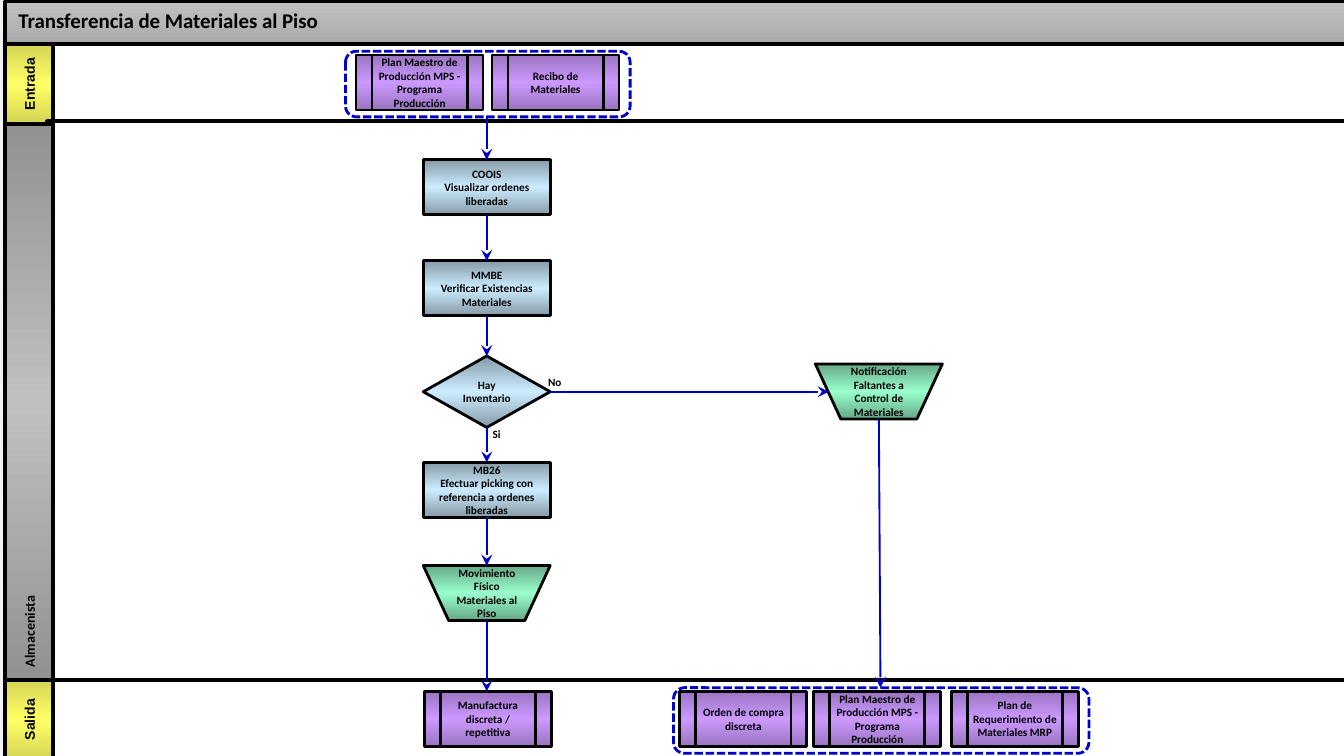
"""Build the swimlane flowchart for transferring materials to the shop floor."""
from copy import deepcopy
from dataclasses import dataclass

from lxml import etree
from pptx import Presentation
from pptx import util as u
from pptx.dml import color
from pptx.enum import dml, shapes, text
from pptx.oxml import ns


@dataclass(frozen=True)
class Theme:
    background: str = "F2F2F2"
    black: str = "000000"
    white: tuple = ("FFFFFF",)
    flow: str = "0000CC"
    header: tuple = ("C0C0C0", "AAAAAA")
    yellow: tuple = ("D5D555", "FFFF66", "D5D555")
    gray: tuple = ("929292", "C0C0C0", "929292")
    blue: tuple = ("869BA8", "CCECFF", "869BA8")
    purple: tuple = ("9A74C1", "CC99FF", "9A74C1")
    green: tuple = ("65A886", "99FFCC", "65A886")
    title_size: float = 11.2
    lane_size: float = 7.5
    step_size: float = 6
    lane_line: float = 2
    step_line: float = 1.5
    arrow_line: float = 1


theme = Theme()
rgb = color.RGBColor.from_string
kinds = shapes.MSO_SHAPE
center, left_align = text.PP_ALIGN.CENTER, text.PP_ALIGN.LEFT

presentation = Presentation()
presentation.slide_width, presentation.slide_height = u.Cm(25.4), u.Cm(14.29)
slide = presentation.slides.add_slide(presentation.slide_layouts[6])
slide.background.fill.solid()
slide.background.fill.fore_color.rgb = rgb(theme.background)


def draw(kind, box, colors, line=theme.black, width=theme.step_line):
    shape = slide.shapes.add_shape(kind, *map(u.Cm, box))
    shape.shadow.inherit = False
    shape.line.color.rgb = rgb(line)
    shape.line.width = u.Pt(width)
    if not colors:
        shape.fill.background()
    elif len(colors) == 1:
        shape.fill.solid()
        shape.fill.fore_color.rgb = rgb(colors[0])
    else:
        shape.fill.gradient()
        shape.fill.gradient_angle = 270
        stop_list = shape._element.spPr.find(".//" + ns.qn("a:gsLst"))
        while len(stop_list) < len(colors):
            stop_list.append(deepcopy(stop_list[0]))
        for index, stop in enumerate(shape.fill.gradient_stops):
            stop.position = index / (len(colors) - 1)
            stop.color.rgb = rgb(colors[index])
    return shape


def write(shape, words, size=theme.step_size, font="Calibri", align=center,
          side_inset=0.03, end_inset=0.03, wrap=True, anchor=text.MSO_ANCHOR.MIDDLE):
    frame = shape.text_frame
    frame.text = words
    frame.word_wrap = wrap
    frame.vertical_anchor = anchor
    frame.margin_left = frame.margin_right = u.Cm(side_inset)
    frame.margin_top = frame.margin_bottom = u.Cm(end_inset)
    for paragraph in frame.paragraphs:
        paragraph.alignment = align
        for run in paragraph.runs:
            run.font.size, run.font.name, run.font.bold = u.Pt(size), font, True
            run.font.color.rgb = rgb(theme.black)


lane_left, lane_width = 0.1, 0.91
lanes = [
    ("Salida", (0.13, 12.85, 25.4, 1.5), 12.85, 1.5, theme.yellow, "Arial", center),
    ("Entrada", (0.43, 0.81, 25.07, 1.5), 0.84, 1.5, theme.yellow, "Arial", center),
    ("Almacenista", (0.89, 2.29, 24.61, 10.57), 2.34, 10.52, theme.gray, "Calibri", left_align),
]
for name, body, top, height, colors, font, align in lanes:
    draw(kinds.RECTANGLE, body, theme.white, width=theme.lane_line)
    label = draw(kinds.RECTANGLE, (lane_left, top, lane_width, height), colors, width=theme.lane_line)
    write(label, name, size=theme.lane_size, font=font, align=align, side_inset=0.13, end_inset=0.25)
    label.text_frame._txBody.bodyPr.set("vert", "vert270")

draw(kinds.RECTANGLE, (lane_left, 0.03, 25.4, 0.81), theme.header, width=theme.lane_line)
title = slide.shapes.add_textbox(*map(u.Cm, (lane_left, -0.03, 16.7, 0.81)))
write(title, "Transferencia de Materiales al Piso", size=theme.title_size,
      align=left_align, side_inset=0.25, end_inset=0.13, wrap=False)

for box in [(6.53, 0.97, 5.38, 1.24), (12.73, 13, 7.85, 1.24)]:
    group = draw(kinds.FLOWCHART_ALTERNATE_PROCESS, box, None, line=theme.flow)
    group.line.dash_style = dml.MSO_LINE.SQUARE_DOT

step_width, step_height = 2.4, 1.04
main_left, side_left = 8, 15.41
input_top, output_top = 1.04, 13.07
decision_top, decision_height = 6.73, 1.35
process, manual = kinds.FLOWCHART_PREDEFINED_PROCESS, kinds.FLOWCHART_MANUAL_OPERATION
side_insets = {process: 0.06, kinds.DIAMOND: 0}
master_plan = "Plan Maestro de Producción MPS - Programa Producción"
steps = [
    (process, theme.purple, 6.73, input_top, master_plan),
    (process, theme.purple, 9.3, input_top, "Recibo de Materiales"),
    (kinds.RECTANGLE, theme.blue, main_left, 3.02, "COOIS\nVisualizar ordenes liberadas"),
    (kinds.RECTANGLE, theme.blue, main_left, 4.93, "MMBE\nVerificar Existencias Materiales"),
    (kinds.DIAMOND, theme.blue, main_left, decision_top, "Hay Inventario"),
    (kinds.RECTANGLE, theme.blue, main_left, 8.74,
     "MB26\nEfectuar picking con referencia a ordenes liberadas"),
    (manual, theme.green, main_left, 10.69, "Movimiento Físico Materiales al Piso"),
    (manual, theme.green, side_left, 6.88, "Notificación Faltantes a Control de Materiales"),
    (process, theme.purple, main_left + 0.02, output_top, "Manufactura discreta / repetitiva"),
    (process, theme.purple, 12.85, output_top, "Orden de compra discreta"),
    (process, theme.purple, 15.38, output_top, master_plan),
    (process, theme.purple, 17.98, output_top, "Plan de Requerimiento de Materiales MRP"),
]
for kind, colors, left, top, words in steps:
    height = decision_height if kind == kinds.DIAMOND else step_height
    step = draw(kind, (left, top, step_width, height), colors)
    write(step, words, side_inset=side_insets.get(kind, 0.03))

for words, left, top, width in [("No", 10.36, 7.1, 0.26), ("Si", 9.31, 8.08, 0.16)]:
    answer = slide.shapes.add_textbox(*map(u.Cm, (left, top, width, 0.26)))
    write(answer, words, align=left_align, side_inset=0, end_inset=0,
          wrap=False, anchor=text.MSO_ANCHOR.TOP)

main_x = main_left + step_width / 2
side_x = side_left + step_width / 2
decision_y = decision_top + decision_height / 2
main_spans = [(2.2, 3.02), (4.06, 4.93), (5.97, 6.73), (8.08, 8.74), (9.78, 10.69), (11.73, 13.07)]
arrows = [(main_x, start, main_x, end) for start, end in main_spans]
arrows += [(main_left + step_width, decision_y, 15.66, decision_y), (side_x, 7.92, side_x + 0.03, 13)]
for ends in arrows:
    arrow = slide.shapes.add_connector(shapes.MSO_CONNECTOR.STRAIGHT, *map(u.Cm, ends))
    arrow.line.color.rgb = rgb(theme.flow)
    arrow.line.width = u.Pt(theme.arrow_line)
    etree.SubElement(arrow.line._get_or_add_ln(), ns.qn("a:tailEnd"), type="stealth")
    etree.SubElement(arrow._element.spPr, ns.qn("a:effectLst"))

presentation.save("out.pptx")
